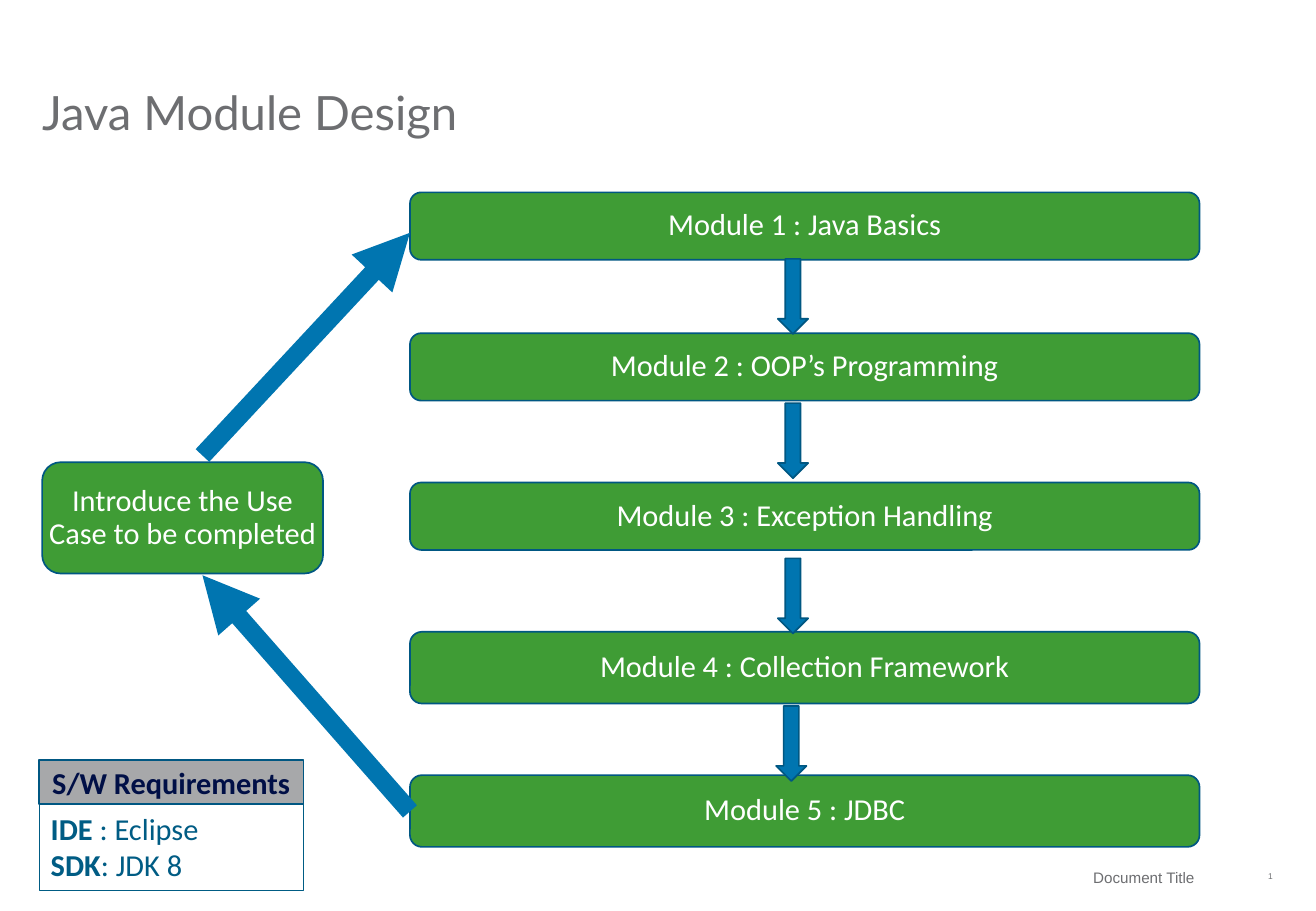
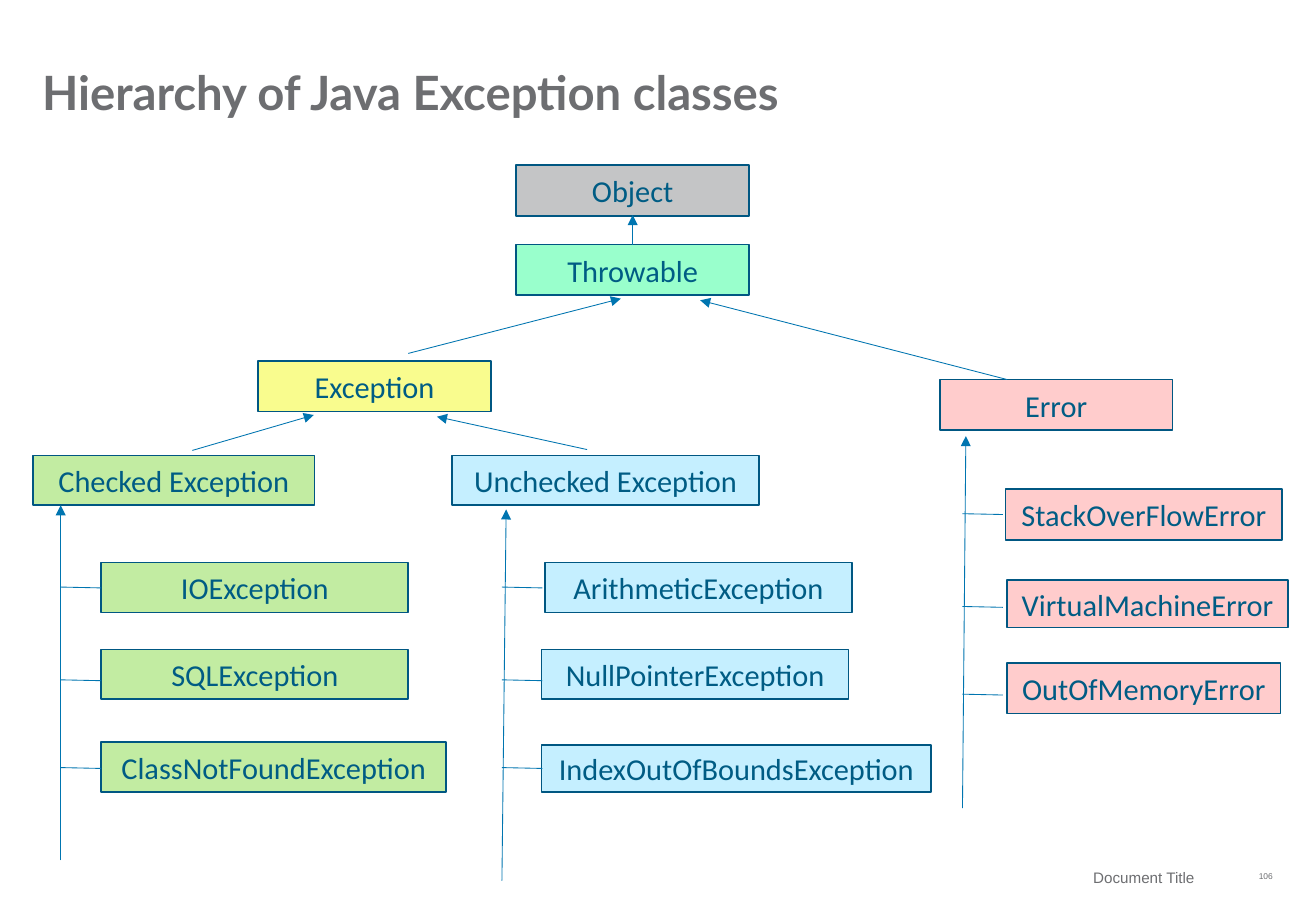
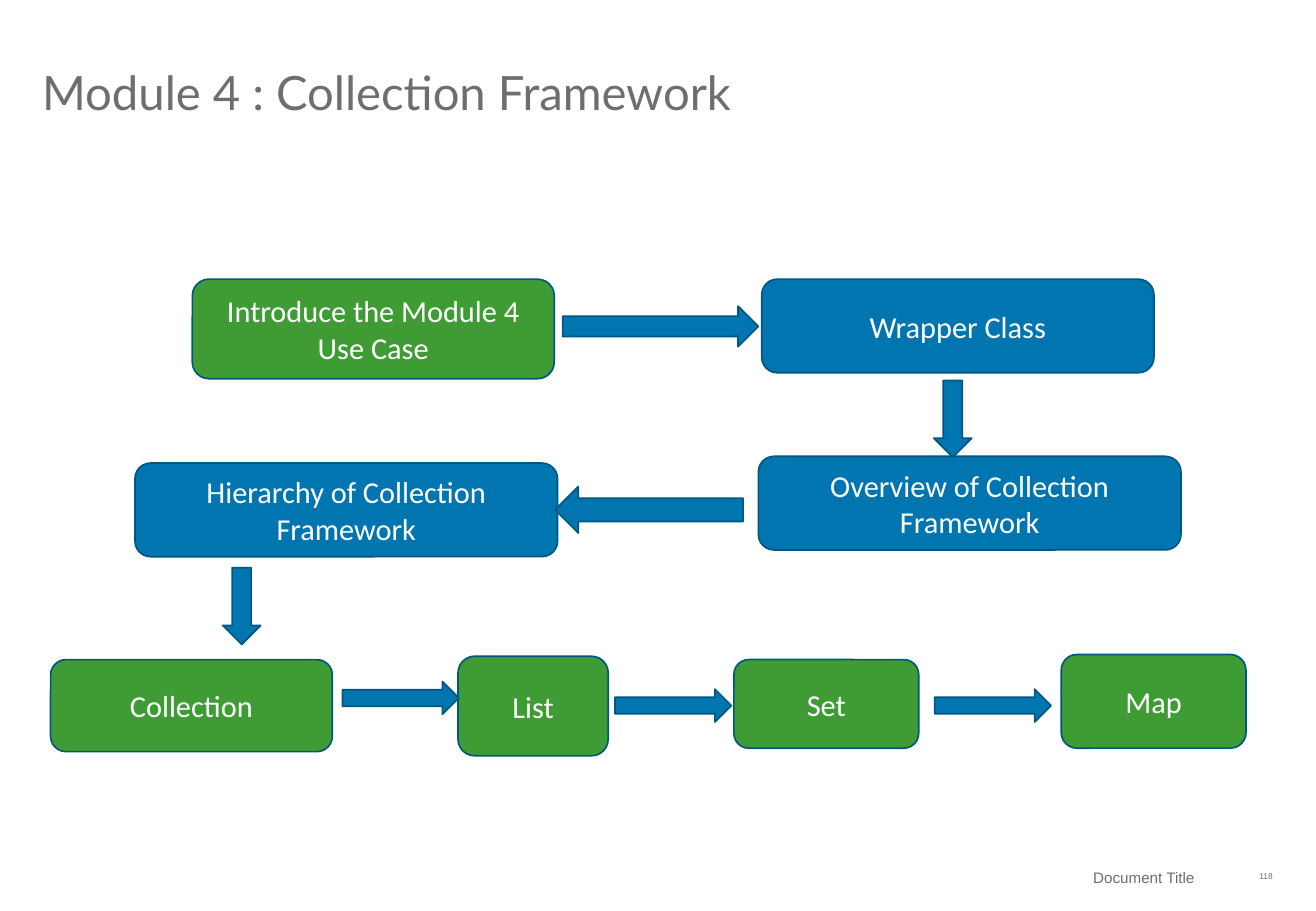
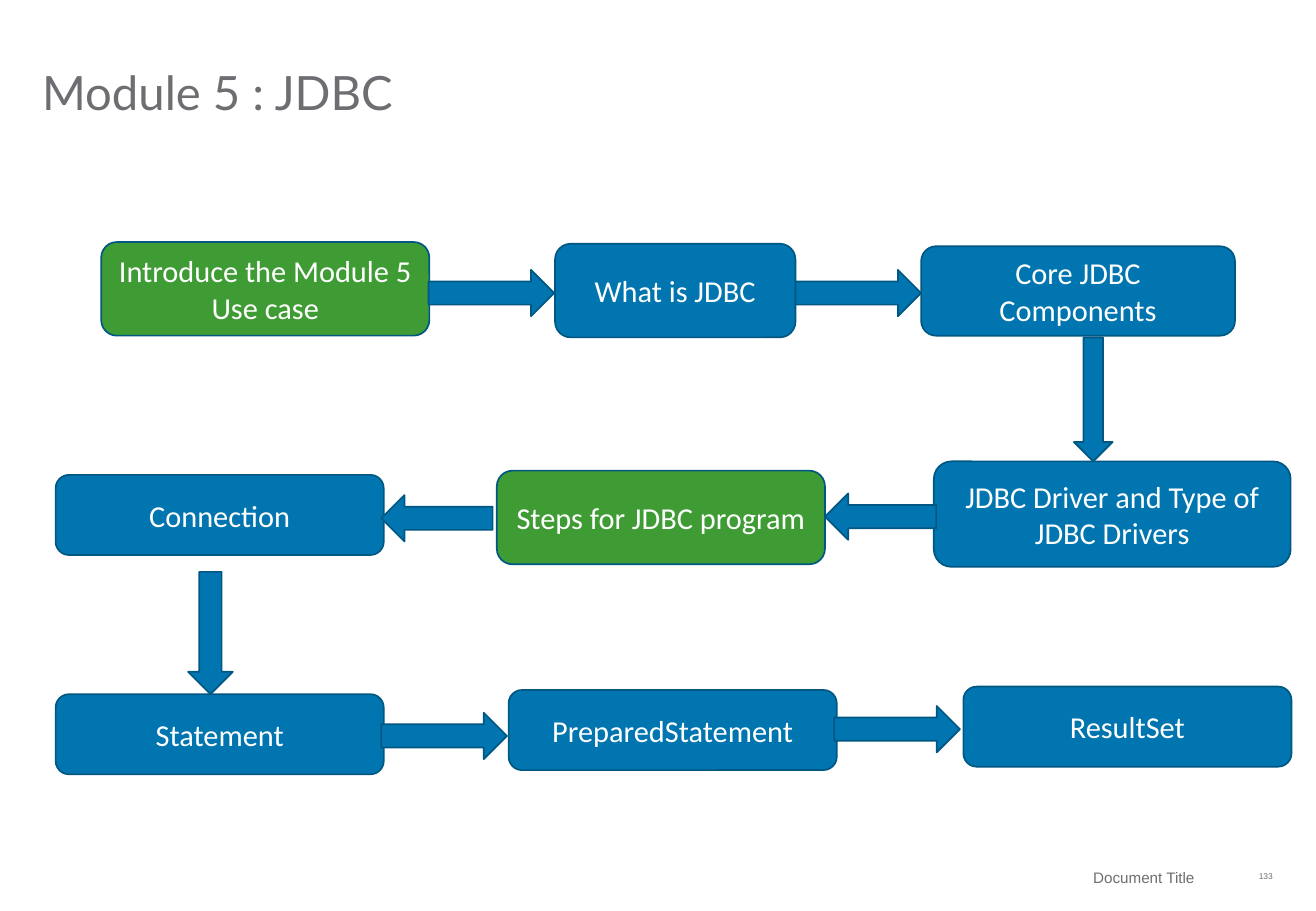
from pptx import Presentation
from pptx.dml.color import RGBColor
from pptx.enum.shapes import MSO_CONNECTOR, MSO_SHAPE
from pptx.enum.text import MSO_ANCHOR, PP_ALIGN
from pptx.oxml.ns import qn
from pptx.util import Pt
from lxml import etree

RECT, ROUND = MSO_SHAPE.RECTANGLE, MSO_SHAPE.ROUNDED_RECTANGLE
ARROWS = {"right": MSO_SHAPE.RIGHT_ARROW, "left": MSO_SHAPE.LEFT_ARROW,
          "down": MSO_SHAPE.DOWN_ARROW}
STRAIGHT = MSO_CONNECTOR.STRAIGHT
LEFT, CENTER, RIGHT = PP_ALIGN.LEFT, PP_ALIGN.CENTER, PP_ALIGN.RIGHT
TOP, MIDDLE, BOTTOM = MSO_ANCHOR.TOP, MSO_ANCHOR.MIDDLE, MSO_ANCHOR.BOTTOM

COLORS = {
    "green": "3F9C35", "blue": "0075B0", "edge": "005782", "ink": "005C84",
    "navy": "000F46", "white": "FFFFFF", "grey": "6D6E71", "header": "A7A8AA",
    "object": "C4C5C6", "throwable": "99FFCC", "exception": "F9FC8E",
    "error": "FFCCCC", "checked": "C2ECA2", "unchecked": "C5EFFF",
}
FOOTER = "Document Title"
BODY_INSETS = (7.2, 3.6, 7.2, 3.6)
NO_INSETS = (0, 0, 0, 0)

# Slide 1: modules as (text, top, height), then the arrows between them
MODULES = [
    ("Module 1 : Java Basics", 114, 40),
    ("Module 2 : OOP’s Programming", 197.5, 40),
    ("Module 3 : Exception Handling", 286, 40),
    ("Module 4 : Collection Framework", 374.5, 42.5),
    ("Module 5 : JDBC", 459.5, 42.5),
]
MODULE_ARROWS = [("down", 461, top, 18, 44.5) for top in (153.5, 239, 331)]
MODULE_ARROWS.append(("down", 460, 418.5, 18, 44.5))
USE_CASE = ("Introduce the Use Case to be completed", "green", 25, 274, 166.5, 66)
USE_CASE_LINKS = [((120, 270), (243, 138)), ((243, 481), (120, 341))]
REQUIREMENTS = [
    [("IDE", True), (" : Eclipse", False)],
    [("SDK", True), (": JDK 8", False)],
]

# Slide 2: (text, colour, left, top, width, height)
CLASSES = [
    ("Object", "object", 306, 98, 138, 30),
    ("Throwable", "throwable", 306, 145, 138, 30),
    ("Exception", "exception", 153, 214, 138, 30),
    ("Error", "error", 557, 225, 138, 30),
    ("Checked Exception", "checked", 19.5, 270, 167, 29.5),
    ("Unchecked Exception", "unchecked", 268, 270, 182, 29.5),
    ("IOException", "checked", 60, 333.5, 182, 29.5),
    ("SQLException", "checked", 60, 385, 182, 29.5),
    ("ClassNotFoundException", "checked", 60, 440, 204.5, 29.5),
    ("ArithmeticException", "unchecked", 323, 333.5, 182, 29.5),
    ("NullPointerException", "unchecked", 321, 385, 182, 29.5),
    ("IndexOutOfBoundsException", "unchecked", 321, 441.5, 231, 28),
    ("StackOverFlowError", "error", 596, 290, 164, 30),
    ("VirtualMachineError", "error", 597, 344, 166.5, 28),
    ("OutOfMemoryError", "error", 597, 393, 162, 30),
]
# Trunk of each family: bottom, top, and where its branches leave
TRUNKS = [
    ((36, 510), (36, 299.5), (348, 403, 455)),
    ((297.5, 522), (300, 302), (348, 403, 455)),
    ((570.5, 479), (572.5, 258.5), (304.5, 359.5, 411.5)),
]
BRANCH = (24, 0.5)
INHERITS = [
    ((242, 209.5), (368, 177)), ((597, 225), (415, 178)),
    ((114, 267), (186, 246)), ((348, 266.5), (259, 247)),
    ((375, 145), (375, 127.5)),
]

# Slides 3 and 4: steps as on slide 2, arrows as (direction, left, top, width, height)
FLOWS = [
    {"title": "Module 4 : Collection Framework", "number": 118,
     "steps": [
         ("Introduce the Module 4 Use Case", "green", 114, 165.5, 214.5, 59),
         ("Wrapper Class", "blue", 451.5, 165.5, 232.5, 55.5),
         ("Overview of Collection Framework", "blue", 449.5, 270.5, 250.5, 55.5),
         ("Hierarchy of Collection Framework", "blue", 80, 274.5, 250.5, 55.5),
         ("Collection", "green", 30, 391, 167, 54.5),
         ("List", "green", 271.5, 389, 89, 59),
         ("Set", "green", 435, 391, 109.5, 52.5),
         ("Map", "green", 629, 388, 109.5, 55.5)],
     "arrows": [
         ("right", 333.5, 181.5, 116, 24), ("down", 553.5, 225.5, 22.5, 45.5),
         ("left", 329, 288.5, 111.5, 27.5), ("down", 132, 336.5, 22.5, 45.5),
         ("right", 203, 404, 69, 19.5), ("right", 364.5, 408.5, 69, 19.5),
         ("right", 554, 408.5, 69, 19.5)]},
    {"title": "Module 5 : JDBC", "number": 133,
     "steps": [
         ("Introduce the Module 5 Use case", "green", 60, 143.5, 194.5, 55.5),
         ("What is JDBC", "blue", 329, 144.5, 142.5, 55.5),
         ("Core JDBC Components", "blue", 546, 146, 186, 53),
         ("JDBC Driver and Type of JDBC Drivers", "blue", 553.5, 273.5, 211.5, 62.5),
         ("Steps for JDBC program", "green", 294.5, 279, 194.5, 55.5),
         ("Connection", "blue", 33, 281.5, 194.5, 47.5),
         ("Statement", "blue", 33, 411.5, 194.5, 47.5),
         ("PreparedStatement", "blue", 301.5, 409, 194.5, 47.5),
         ("ResultSet", "blue", 571, 407, 194.5, 47.5)],
     "arrows": [
         ("right", 254, 160, 74.5, 27.5), ("right", 471.5, 160, 74.5, 27.5),
         ("down", 636.5, 200, 23, 73.5), ("left", 489, 292.5, 66, 27.5),
         ("left", 226, 293.5, 66, 27.5), ("down", 111.5, 339, 26.5, 72.5),
         ("right", 226, 422.5, 74.5, 27.5), ("right", 494.5, 418.5, 74.5, 27.5)]},
]


def rgb(name):
    return RGBColor.from_string(COLORS[name])


def set_text(sp, lines, size=18, font="Calibri", color="white", bold=False,
             align=CENTER, anchor=MIDDLE, insets=BODY_INSETS, spacing=1.0):
    """Write one string, or a list of lines made of (text, bold) runs."""
    if isinstance(lines, str):
        lines = [[(lines, bold)]]
    tf = sp.text_frame
    tf.word_wrap = True
    tf.vertical_anchor = anchor
    tf.margin_left, tf.margin_top, tf.margin_right, tf.margin_bottom = map(Pt, insets)
    for i, runs in enumerate(lines):
        p = tf.add_paragraph() if i else tf.paragraphs[0]
        p.alignment = align
        p.line_spacing = spacing
        for text, is_bold in runs:
            r = p.add_run()
            r.text = text
            r.font.name, r.font.size, r.font.bold = font, Pt(size), is_bold
            r.font.color.rgb = rgb(color)


def add_label(s, text, box, **fmt):
    set_text(s.shapes.add_textbox(*map(Pt, box)), text, **fmt)


def add_box(s, kind, box, fill=None, edge="edge", weight=1):
    sp = s.shapes.add_shape(kind, *map(Pt, box))
    sp.shadow.inherit = False
    if fill:
        sp.fill.solid()
        sp.fill.fore_color.rgb = rgb(fill)
    else:
        sp.fill.background()
    sp.line.color.rgb = rgb(edge)
    sp.line.width = Pt(weight)
    return sp


def add_boxes(s, kind, items, **fmt):
    for text, fill, *box in items:
        set_text(add_box(s, kind, box, fill), text, **fmt)


def add_arrows(s, arrows):
    for direction, *box in arrows:
        add_box(s, ARROWS[direction], box, "blue")


def add_line(s, start, end, weight=0.5, head=True):
    line = s.shapes.add_connector(STRAIGHT, *map(Pt, (*start, *end)))
    line.line.color.rgb = rgb("blue")
    line.line.width = Pt(weight)
    props = line.element.spPr
    if head:
        etree.SubElement(props.find(qn("a:ln")), qn("a:tailEnd"), type="triangle")
    etree.SubElement(props, qn("a:effectLst"))


def add_slide(prs, title, number, top=16, bold=False):
    """Add a slide with the shared title, footer and number."""
    s = prs.slides.add_slide(prs.slide_layouts[6])
    add_label(s, str(number), (726.5, 507.5, 28, 24), size=5, font="Arial",
              color="grey", align=RIGHT, insets=NO_INSETS)
    add_label(s, FOOTER, (445.5, 510, 273.5, 20), size=9, font="Arial",
              color="grey", align=RIGHT, insets=(0, 0, 11, 0))
    add_label(s, title, (25, top, 729.5, 55.5), size=28, font="Lato", color="grey",
              bold=bold, align=LEFT, anchor=BOTTOM, insets=NO_INSETS, spacing=0.9)
    return s


def build_modules(prs):
    s = add_slide(prs, "Java Module Design", 1, top=28)
    modules = [(text, "green", 243, top, 468, height) for text, top, height in MODULES]
    add_boxes(s, ROUND, [USE_CASE] + modules, insets=NO_INSETS, spacing=0.9)
    # Software requirements panel
    panel = add_box(s, RECT, (23, 476.5, 157, 51), edge="ink", weight=0.25)
    set_text(panel, REQUIREMENTS, color="ink", align=LEFT, anchor=TOP)
    add_boxes(s, RECT, [("S/W Requirements", "header", 23, 450.5, 157, 26)],
              color="navy", bold=True)
    # Links to the use case, then module to module
    for start, end in USE_CASE_LINKS:
        add_line(s, start, end, weight=11)
    add_arrows(s, MODULE_ARROWS)


def build_hierarchy(prs):
    s = add_slide(prs, "Hierarchy of Java Exception classes", 106, bold=True)
    add_boxes(s, RECT, CLASSES, color="ink")
    for bottom, top, branches in TRUNKS:
        add_line(s, bottom, top)
        for y in branches:
            add_line(s, (bottom[0], y), (bottom[0] + BRANCH[0], y + BRANCH[1]), head=False)
    for start, end in INHERITS:
        add_line(s, start, end)


def build_flow(prs, flow):
    s = add_slide(prs, flow["title"], flow["number"])
    add_boxes(s, ROUND, flow["steps"])
    add_arrows(s, flow["arrows"])


def main():
    prs = Presentation()
    prs.slide_width, prs.slide_height = Pt(780), Pt(540)
    build_modules(prs)
    build_hierarchy(prs)
    for flow in FLOWS:
        build_flow(prs, flow)
    prs.save("out.pptx")


if __name__ == "__main__":
    main()
